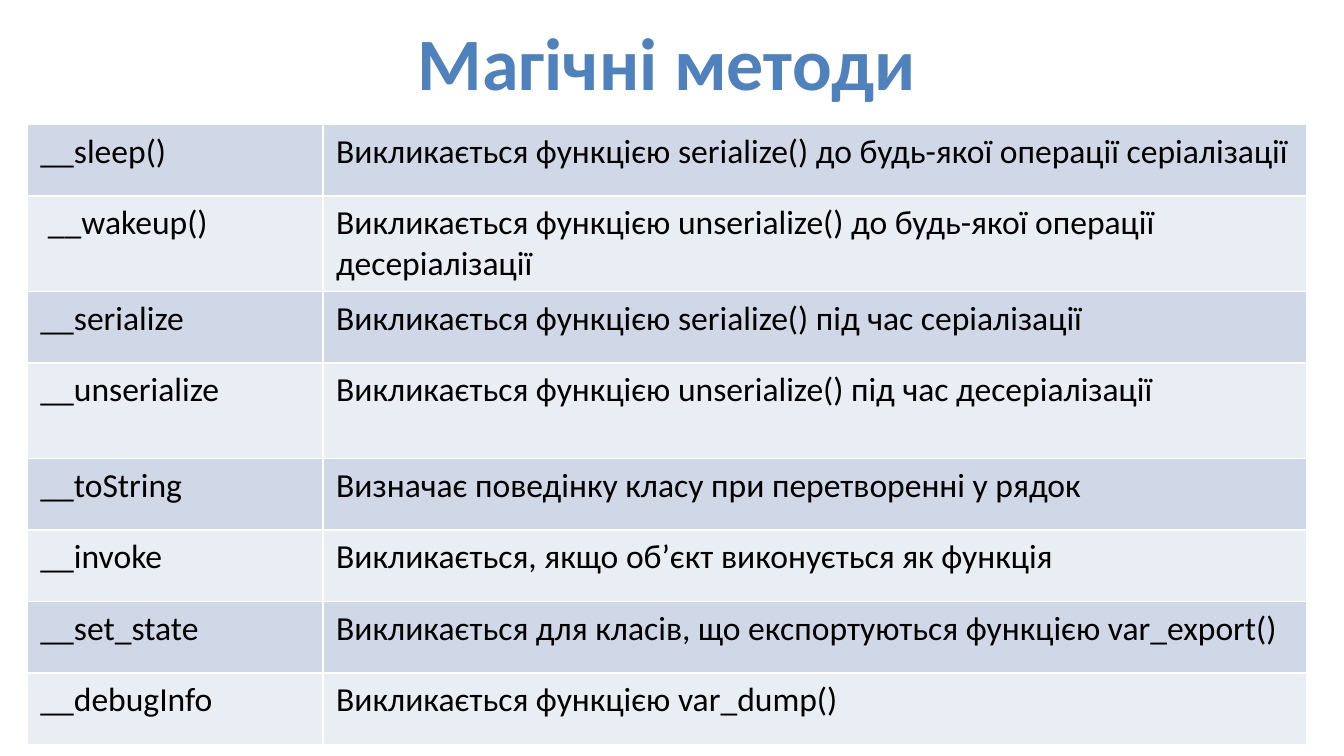
from typing import NamedTuple

from lxml import etree
from pptx import Presentation
from pptx.dml.color import RGBColor
from pptx.enum.text import MSO_ANCHOR, PP_ALIGN
from pptx.oxml.ns import qn
from pptx.util import Cm, Pt

MIDDLE = MSO_ANCHOR.MIDDLE
CENTER = PP_ALIGN.CENTER

COLORS = {
    "title": "4F81BD",
    "text": "000000",
    "odd_row": "D0D8E8",
    "even_row": "E9EDF4",
    "border": "FFFFFF",
}
FONT = "Calibri"
LOW_ROW = 1.35
TALL_ROW = 1.81
COLUMN_WIDTHS = (5.59, 18.6)


class Method(NamedTuple):
    name: str
    description: str
    height: float = LOW_ROW


METHODS = [
    Method("__sleep()", "Викликається функцією serialize() до будь-якої операції серіалізації"),
    Method(" __wakeup()", "Викликається функцією unserialize() до будь-якої операції десеріалізації", TALL_ROW),
    Method("__serialize", "Викликається функцією serialize() під час серіалізації"),
    Method("__unserialize", "Викликається функцією unserialize() під час десеріалізації", TALL_ROW),
    Method("__toString", "Визначає поведінку класу при перетворенні у рядок"),
    Method("__invoke", "Викликається, якщо об’єкт виконується як функція"),
    Method("__set_state", "Викликається для класів, що експортуються функцією var_export()"),
    Method("__debugInfo", "Викликається функцією var_dump()"),
]


def add_span(para, text: str, size: float, color: str, bold: bool = False) -> None:
    span = para.add_run()
    span.text = text
    span.font.name = FONT
    span.font.size = Pt(size)
    span.font.bold = bold
    span.font.color.rgb = RGBColor.from_string(COLORS[color])


def add_borders(cell) -> None:
    properties = cell._tc.get_or_add_tcPr()
    for side in ("a:lnL", "a:lnR", "a:lnT", "a:lnB"):
        line = etree.SubElement(properties, qn(side), w=str(Pt(1)))
        fill = etree.SubElement(line, qn("a:solidFill"))
        etree.SubElement(fill, qn("a:srgbClr"), val=COLORS["border"])


def add_title(page, text: str) -> None:
    box = page.shapes.add_textbox(Cm(0.3), Cm(0.15), Cm(24.61), Cm(2))
    frame = box.text_frame
    frame.word_wrap = True
    frame.vertical_anchor = MIDDLE
    para = frame.paragraphs[0]
    para.alignment = CENTER
    add_span(para, text, 39.6, "title", bold=True)


def add_method_table(page, methods: list[Method]) -> None:
    height = sum(method.height for method in methods)
    table = page.shapes.add_table(
        len(methods), len(COLUMN_WIDTHS), Cm(0.51), Cm(2.35), Cm(sum(COLUMN_WIDTHS)), Cm(height)
    ).table
    table.first_row = False
    table.horz_banding = False
    for column, width in zip(table.columns, COLUMN_WIDTHS):
        column.width = Cm(width)
    for index, (row, method) in enumerate(zip(table.rows, methods)):
        row.height = Cm(method.height)
        band = "even_row" if index % 2 else "odd_row"
        for cell, text in zip(row.cells, (method.name, method.description)):
            add_borders(cell)
            cell.fill.solid()
            cell.fill.fore_color.rgb = RGBColor.from_string(COLORS[band])
            add_span(cell.text_frame.paragraphs[0], text, 18, "text")


def main() -> None:
    deck = Presentation()
    deck.slide_width = Cm(25.4)
    deck.slide_height = Cm(14.29)
    page = deck.slides.add_slide(deck.slide_layouts[6])
    add_title(page, "Магічні методи")
    add_method_table(page, METHODS)
    deck.save("out.pptx")


if __name__ == "__main__":
    main()
